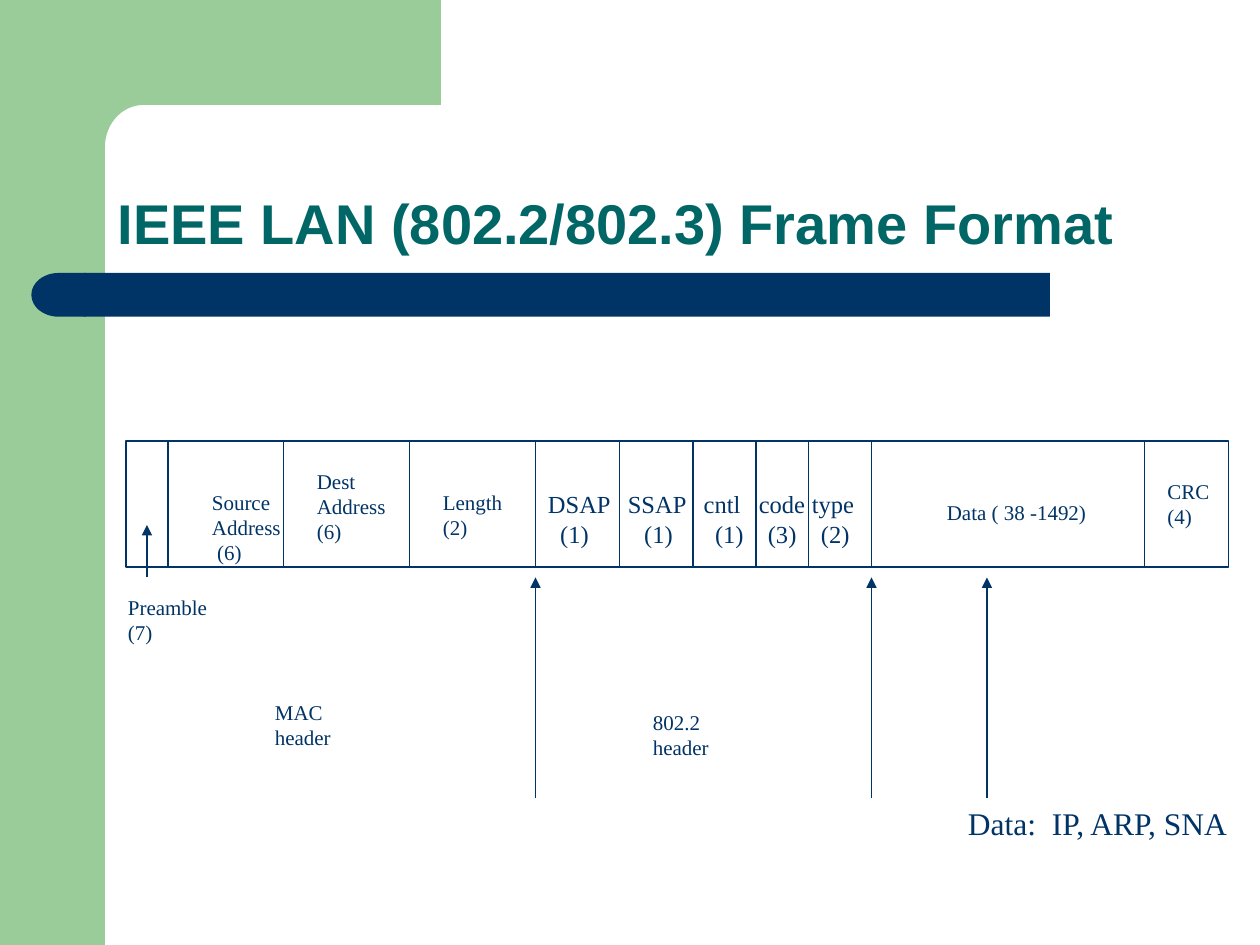
import math
from pptx import Presentation
from pptx.dml.color import RGBColor
from pptx.enum import shapes, text
from pptx.oxml.ns import qn
from pptx.util import Pt
from lxml import etree

GREEN = RGBColor(0x99, 0xCC, 0x99)
NAVY = RGBColor(0x00, 0x33, 0x66)
TEAL = RGBColor(0x00, 0x66, 0x66)
SHAPE = shapes.MSO_SHAPE

prs = Presentation()
prs.slide_width, prs.slide_height = Pt(720), Pt(540)
s = prs.slides.add_slide(prs.slide_layouts[5])


def add_line(x, y1, y2, arrow=False):
    c = s.shapes.add_connector(shapes.MSO_CONNECTOR.STRAIGHT, Pt(x), Pt(y1), Pt(x), Pt(y2))
    c.line.color.rgb = NAVY
    c.line.width = Pt(0.75)
    if arrow:
        etree.SubElement(c.line._get_or_add_ln(), qn("a:tailEnd"), type="triangle")
    etree.SubElement(c._element.spPr, qn("a:effectLst"))


def add_label(x, y, w, h, lines, size=12, tabs=()):
    """Add a label; tabs holds one list of tab stops per line."""
    tf = s.shapes.add_textbox(Pt(x), Pt(y), Pt(w), Pt(h)).text_frame
    tf.word_wrap = True
    tf.auto_size = text.MSO_AUTO_SIZE.SHAPE_TO_FIT_TEXT
    for i, line in enumerate(lines):
        p = tf.paragraphs[0] if i == 0 else tf.add_paragraph()
        p.text = line
        if tabs:
            tab_list = etree.SubElement(p._p.get_or_add_pPr(), qn("a:tabLst"))
            for stop in tabs[i]:
                etree.SubElement(tab_list, qn("a:tab"), pos=str(Pt(stop)), algn="l")
        p.font.name = "Times New Roman"
        p.font.size = Pt(size)
        p.font.color.rgb = NAVY
    return tf


# Green side band and top block with a rounded inner corner
band = s.shapes.add_shape(SHAPE.RECTANGLE, 0, 0, Pt(60), Pt(540))
corner = []
for deg in range(180, 271, 6):
    a = math.radians(deg)
    corner.append((82 + 22 * math.cos(a), 84 + 24 * math.sin(a)))
builder = s.shapes.build_freeform(Pt(36), 0, scale=1.0)
outline = [(36, 92), (60, 92), *corner, (252, 60), (252, 0)]
builder.add_line_segments([(Pt(x), Pt(y)) for x, y in outline])
block = builder.convert_to_shape()

# Navy title bar with a round left end
bar = s.shapes.add_shape(SHAPE.RECTANGLE, Pt(48), Pt(156), Pt(552), Pt(25))
cap = s.shapes.add_shape(SHAPE.FLOWCHART_DELAY, Pt(18), Pt(156), Pt(31), Pt(25))
cap._element.spPr.get_or_add_xfrm().set("flipH", "1")

for sp, color in ((band, GREEN), (block, GREEN), (bar, NAVY), (cap, NAVY)):
    sp.fill.solid()
    sp.fill.fore_color.rgb = color
    sp.line.fill.background()
    sp.shadow.inherit = False

# Title
title = s.shapes.title
title.left, title.top, title.width, title.height = Pt(60), Pt(60), Pt(624), Pt(90)
tf = title.text_frame
tf.text = "IEEE LAN (802.2/802.3) Frame Format"
tf.vertical_anchor = text.MSO_ANCHOR.BOTTOM
tf.auto_size = text.MSO_AUTO_SIZE.NONE
p = tf.paragraphs[0]
p.alignment = text.PP_ALIGN.LEFT
p.line_spacing = 0.9
p.font.name = "Arial"
p.font.size = Pt(32)
p.font.bold = True
p.font.color.rgb = TEAL

# Frame: preamble cell, main box and field dividers
for x, w in ((72, 24), (96, 606)):
    sp = s.shapes.add_shape(SHAPE.RECTANGLE, Pt(x), Pt(252), Pt(w), Pt(72))
    sp.fill.background()
    sp.line.color.rgb = NAVY
    sp.line.width = Pt(0.75)
    sp.shadow.inherit = False
for x in (162, 234, 306, 354, 396, 432, 462, 498, 654):
    add_line(x, 252, 324)

# Field names and header names
for x, y, w, h, lines in (
    (66, 336, 60, 36, ["Preamble", "(7)"]),
    (174, 264, 60, 50, ["Dest", "Address", "(6)"]),
    (246, 276, 60, 36, ["Length", "(2)"]),
    (534, 282, 96, 22, ["Data ( 38 -1492)"]),
    (660, 270, 60, 36, ["CRC", "(4)"]),
    (150, 396, 60, 36, ["MAC header"]),
    (366, 402, 60, 36, ["802.2 header"]),
):
    add_label(x, y, w, h, lines)
source = add_label(114, 276, 60, 50, ["Source", "Address", "(6)"])
source.paragraphs[2]._p.get_or_add_pPr().set("marL", str(Pt(3)))

# 802.2 fields share one box, set out with tabs
add_label(306, 276, 198, 41,
          ["DSAP\tSSAP\tcntl\tcode\ttype", "\t(1)\t(1)\t(1)\t(3)\t(2)"], 14,
          [(45.7, 89, 120.5, 150.8), (7, 55, 95.5, 125.7, 156)])
add_label(546, 456, 168, 29, ["Data:\tIP, ARP, SNA"], 18, [(48,)]).word_wrap = False

# Arrows up to the frame
for x in (306, 498, 564):
    add_line(x, 456, 330, arrow=True)
add_line(84, 330, 300, arrow=True)

prs.save("out.pptx")
